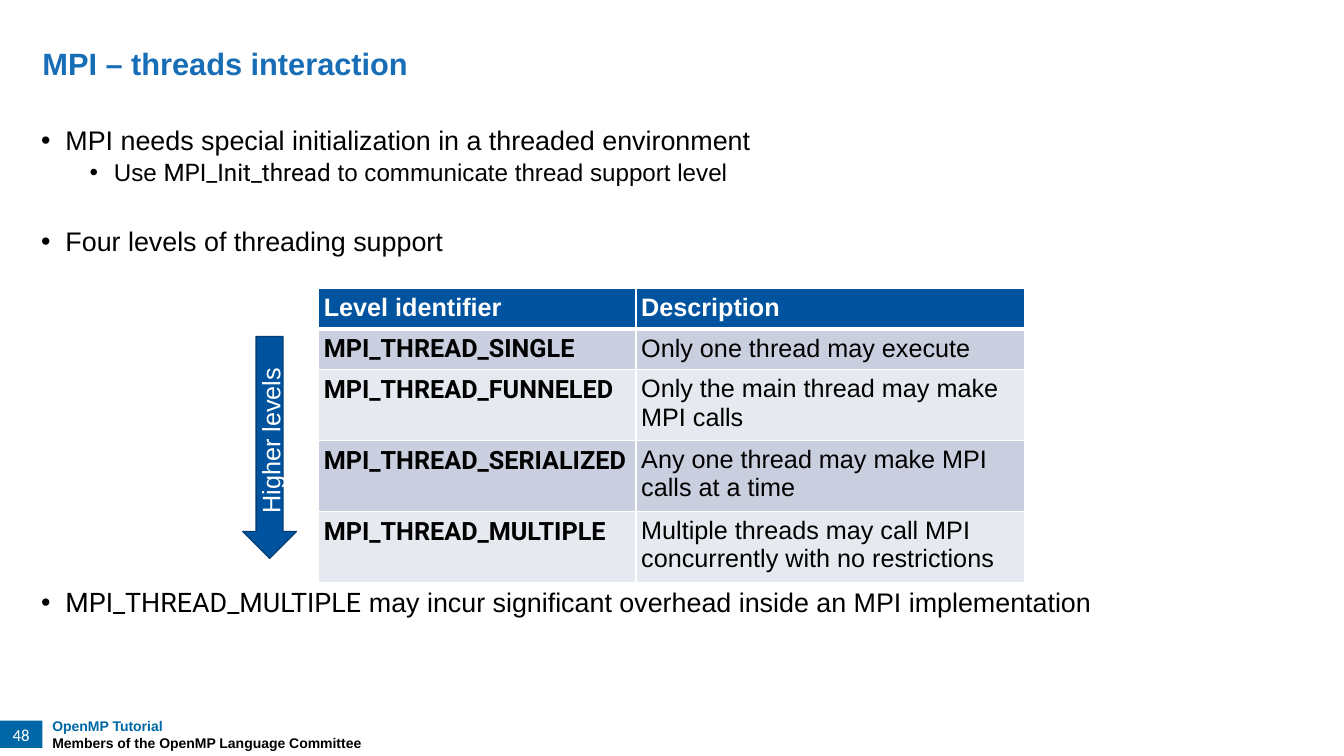
from lxml import etree
from pptx import Presentation
from pptx.dml.color import RGBColor
from pptx.enum.shapes import MSO_SHAPE
from pptx.enum.text import MSO_ANCHOR, PP_ALIGN
from pptx.oxml.ns import qn
from pptx.util import Cm, Pt

BLACK = RGBColor(0x00, 0x00, 0x00)
WHITE = RGBColor(0xFF, 0xFF, 0xFF)
TITLE_BLUE = RGBColor(0x17, 0x6D, 0xB6)
FOOTER_BLUE = RGBColor(0x00, 0x67, 0xA6)
HEADER_BLUE = RGBColor(0x00, 0x54, 0x9F)
ARROW_EDGE = RGBColor(0x00, 0x3D, 0x74)
ROW_FILLS = (RGBColor(0xCA, 0xCF, 0xDF), RGBColor(0xE6, 0xE9, 0xEF))

RECTANGLE, DOWN_ARROW = MSO_SHAPE.RECTANGLE, MSO_SHAPE.DOWN_ARROW
TOP, MIDDLE, BOTTOM = MSO_ANCHOR.TOP, MSO_ANCHOR.MIDDLE, MSO_ANCHOR.BOTTOM
LEFT, CENTER = PP_ALIGN.LEFT, PP_ALIGN.CENTER

SANS, CODE, NUMBER = "Arial", "Roboto", "Calibri"
PADDING = Cm(0.13)
BULLET_INDENT = 0.61
BODY_SIZE, SUB_SIZE = 19.2, 17.3

# Level, space before in points, size, runs of (text, font)
BULLETS = [
    (0, 0, BODY_SIZE, [("MPI needs special initialization in a threaded environment", SANS)]),
    (1, 3, SUB_SIZE, [("Use ", SANS), ("MPI_Init_thread", CODE),
                      (" to communicate thread support level", SANS)]),
    (0, 30, BODY_SIZE, [("Four levels of threading support", SANS)]),
    (0, 237, BODY_SIZE, [("MPI_THREAD_MULTIPLE", CODE),
                         (" may incur significant overhead inside an MPI implementation", SANS)]),
]

THREAD_LEVELS = [
    ("MPI_THREAD_SINGLE", "Only one thread may execute"),
    ("MPI_THREAD_FUNNELED", "Only the main thread may make MPI calls"),
    ("MPI_THREAD_SERIALIZED", "Any one thread may make MPI calls at a time"),
    ("MPI_THREAD_MULTIPLE", "Multiple threads may call MPI concurrently with no restrictions"),
]


class SlideBuilder:
    def __init__(self, slide):
        self.slide = slide

    def run(self, paragraph, text, size, color=BLACK, font=SANS, bold=False):
        run = paragraph.add_run()
        run.text = text
        run.font.size = Pt(size)
        run.font.name = font
        run.font.bold = bold
        run.font.color.rgb = color

    def frame(self, shape, padding=0, anchor=TOP, wrap=True):
        """Set the margins, anchor and wrapping of a shape's text."""
        frame = shape.text_frame
        frame.margin_left = frame.margin_right = padding
        frame.margin_top = frame.margin_bottom = padding
        frame.vertical_anchor = anchor
        frame.word_wrap = wrap
        return frame

    def text(self, box, lines, padding=0, anchor=TOP, align=LEFT,
             wrap=True, spacing=1.0, rotation=0):
        """Add a text box; each line is the arguments of one run."""
        shape = self.slide.shapes.add_textbox(*map(Cm, box))
        shape.rotation = rotation
        frame = self.frame(shape, padding, anchor, wrap)
        for index, line in enumerate(lines):
            paragraph = frame.add_paragraph() if index else frame.paragraphs[0]
            paragraph.alignment = align
            paragraph.line_spacing = spacing
            self.run(paragraph, *line)

    def bullets(self, box, items):
        frame = self.frame(self.slide.shapes.add_textbox(*map(Cm, box)))
        for index, (level, space, size, runs) in enumerate(items):
            paragraph = frame.add_paragraph() if index else frame.paragraphs[0]
            paragraph.level = level
            paragraph.line_spacing = 0.9
            paragraph.space_before = Pt(space)
            properties = paragraph._p.get_or_add_pPr()
            properties.set("marL", str(Cm(BULLET_INDENT * (1 + 2 * level))))
            properties.set("indent", str(-Cm(BULLET_INDENT)))
            etree.SubElement(properties, qn("a:buFont")).set("typeface", SANS)
            etree.SubElement(properties, qn("a:buChar")).set("char", "•")
            for text, font in runs:
                self.run(paragraph, text, size, font=font)

    def shape(self, kind, box, fill, edge=None):
        shape = self.slide.shapes.add_shape(kind, *map(Cm, box))
        shape.shadow.inherit = False
        shape.fill.solid()
        shape.fill.fore_color.rgb = fill
        if edge is None:
            shape.line.fill.background()
        else:
            shape.line.color.rgb = edge
            shape.line.width = Pt(1)
        return shape

    def borders(self, cell, bottom, top):
        """Draw white borders, with bottom and top widths in points."""
        properties = cell._tc.get_or_add_tcPr()
        for side, width in (("L", 1), ("R", 1), ("T", top), ("B", bottom)):
            line = etree.SubElement(properties, qn(f"a:ln{side}"), w=str(Pt(width)))
            fill = etree.SubElement(line, qn("a:solidFill"))
            etree.SubElement(fill, qn("a:srgbClr"), val=str(WHITE))

    def cell(self, cell, text, fill, color, font, bold, bottom=1, top=1):
        self.borders(cell, bottom, top)
        cell.fill.solid()
        cell.fill.fore_color.rgb = fill
        cell.margin_left = cell.margin_right = PADDING
        cell.margin_top = cell.margin_bottom = PADDING
        self.run(cell.text_frame.paragraphs[0], text, 18, color, font, bold)

    def table(self, left, top, widths, row_height, header, rows):
        count = len(rows) + 1
        table = self.slide.shapes.add_table(
            count, len(widths), Cm(left), Cm(top),
            Cm(sum(widths)), Cm(row_height * count)).table
        for column, width in zip(table.columns, widths):
            column.width = Cm(width)
        for row in table.rows:
            row.height = Cm(row_height)
        for column, heading in enumerate(header):
            self.cell(table.cell(0, column), heading, HEADER_BLUE, WHITE, SANS, True, bottom=3)
        for index, (identifier, description) in enumerate(rows):
            fill = ROW_FILLS[index % 2]
            edge = 1 if index else 3
            self.cell(table.cell(index + 1, 0), identifier, fill, BLACK, CODE, True, top=edge)
            self.cell(table.cell(index + 1, 1), description, fill, BLACK, SANS, False, top=edge)


def main():
    presentation = Presentation()
    presentation.slide_width = Cm(33.87)
    presentation.slide_height = Cm(19.05)
    builder = SlideBuilder(presentation.slides.add_slide(presentation.slide_layouts[6]))

    builder.text((1.32, 18.08, 7.82, 0.8),
                 [("OpenMP Tutorial", 10, FOOTER_BLUE, SANS, True),
                  ("Members of the OpenMP Language Committee", 10, BLACK, SANS, True)],
                 wrap=False)
    page_badge = builder.shape(RECTANGLE, (0, 18.16, 1.07, 0.69), FOOTER_BLUE)
    page_number = builder.frame(page_badge, PADDING, MIDDLE).paragraphs[0]
    page_number.alignment = CENTER
    builder.run(page_number, "48", 12, WHITE, NUMBER)

    builder.bullets((1.04, 3.2, 31.9, 12.78), BULLETS)
    builder.text((1.07, 0.56, 31.9, 1.5),
                 [("MPI – threads interaction", 22, TITLE_BLUE, SANS, True)],
                 anchor=BOTTOM, spacing=0.9)
    builder.table(8.03, 7.26, (8.0, 9.8), 1.03,
                  ("Level identifier", "Description"), THREAD_LEVELS)

    builder.shape(DOWN_ARROW, (6.12, 8.48, 1.35, 5.59), HEADER_BLUE, ARROW_EDGE)
    builder.text((4.32, 10.62, 4.98, 0.97), [("Higher levels", 18, WHITE)],
                 PADDING, MIDDLE, CENTER, rotation=270)

    presentation.save("out.pptx")


if __name__ == "__main__":
    main()
